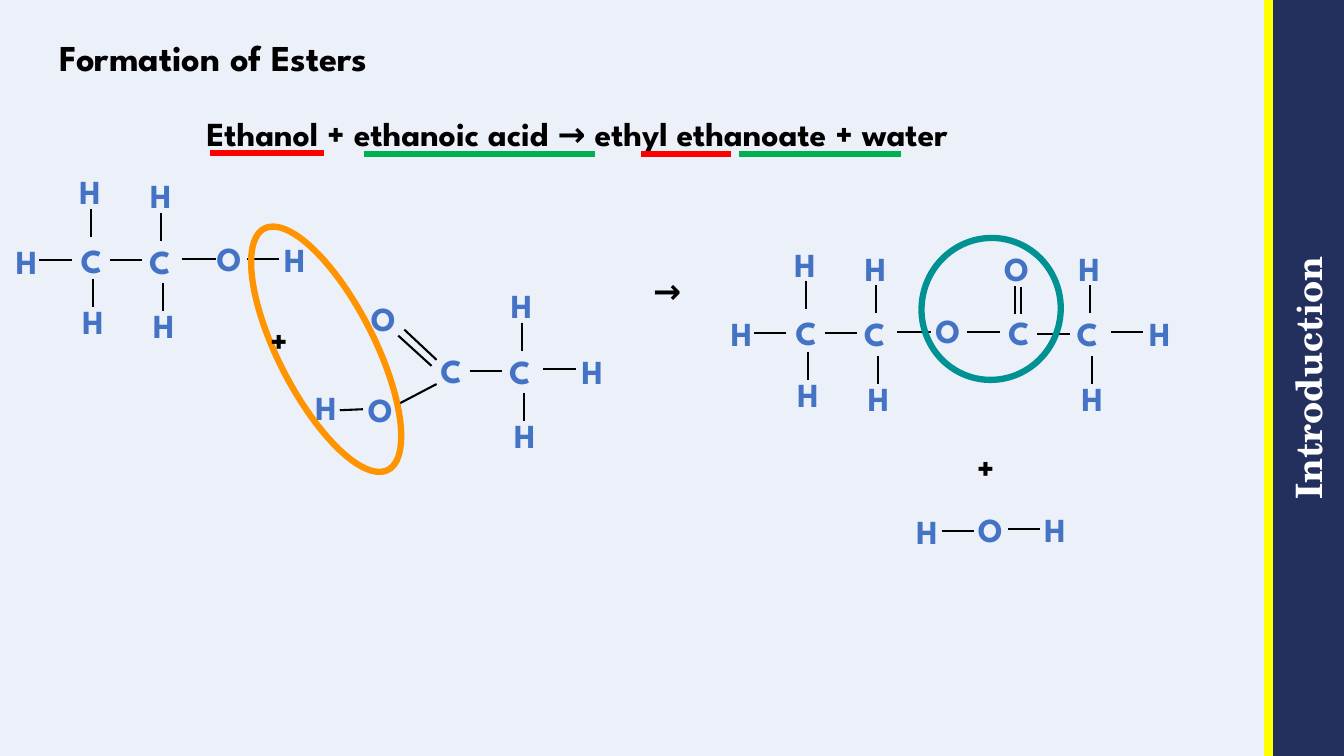
import dataclasses

import lxml.etree
import pptx
import pptx.dml.color
import pptx.enum.shapes
import pptx.enum.text
import pptx.oxml.ns
import pptx.util

WIDE, HIGH = pptx.util.Inches(13.33), pptx.util.Inches(7.5)
COLS, ROWS = 133.3, 75


@dataclasses.dataclass(frozen=True)
class Theme:
    sans: str = "League Spartan"
    serif: str = "TeX Gyre Schola"
    paper: str = "ECF1F9"
    navy: str = "232F5D"
    yellow: str = "FFFF00"
    white: str = "FFFFFF"
    black: str = "000000"
    atom: str = "4472C4"
    red: str = "FF0000"
    green: str = "00B050"
    orange: str = "FF9300"
    teal: str = "009193"
    head: float = 26
    body: float = 24
    thin: float = 1.5
    thick: float = 4.5
    edge: float = 6


THEME = Theme()


def rgb(code):
    return pptx.dml.color.RGBColor.from_string(code)


def place(box):
    """Turn a box in grid columns and rows into lengths on the slide."""
    left, top, width, height = box
    return (round(WIDE * left / COLS), round(HIGH * top / ROWS),
            round(WIDE * width / COLS), round(HIGH * height / ROWS))


def write(shape, text, size=THEME.body, color=THEME.black, font=THEME.sans,
          align="LEFT", anchor="TOP", wrap=True, grow=False, inset=None, space=None):
    frame = shape.text_frame
    fit = pptx.enum.text.MSO_AUTO_SIZE
    frame.auto_size = fit.SHAPE_TO_FIT_TEXT if grow else fit.NONE
    frame.word_wrap = wrap
    frame.vertical_anchor = pptx.enum.text.MSO_ANCHOR[anchor]
    if inset is not None:
        frame.margin_left = frame.margin_right = inset
        frame.margin_top = frame.margin_bottom = inset
    para = frame.paragraphs[0]
    para.alignment = pptx.enum.text.PP_ALIGN[align]
    if space:
        para.line_spacing = space
    run = para.add_run()
    run.text = text
    run.font.size = pptx.util.Pt(size)
    run.font.name = font
    run.font.bold = True
    run.font.color.rgb = rgb(color)


def label(slide, box, text, **form):
    write(slide.shapes.add_textbox(*place(box)), text, grow=True, **form)


def stroke(slide, start, end, color=THEME.black, weight=THEME.thin):
    ends = place((*start, *end))
    line = slide.shapes.add_connector(pptx.enum.shapes.MSO_CONNECTOR.STRAIGHT, *ends)
    line.line.color.rgb = rgb(color)
    line.line.width = pptx.util.Pt(weight)
    props = line._element.spPr
    lxml.etree.SubElement(props, pptx.oxml.ns.qn("a:effectLst"))


def ring(slide, box, turn, color):
    oval = slide.shapes.add_shape(pptx.enum.shapes.MSO_SHAPE.OVAL, *place(box))
    oval.shadow.inherit = False
    oval.fill.background()
    oval.line.color.rgb = rgb(color)
    oval.line.width = pptx.util.Pt(THEME.thick)
    oval.rotation = turn


def draw(slide, left, top, atoms, bonds):
    """Place atoms (sign, x, y) and bonds (x1, y1, x2, y2) from a corner."""
    for x1, y1, x2, y2 in bonds:
        stroke(slide, (left + x1, top + y1), (left + x2, top + y2))
    for sign, x, y in atoms:
        width = 4.3 if sign == "H" else 4.8
        label(slide, (left + x, top + y, width, 5), sign, color=THEME.atom, wrap=False)


def stem(slide, left, top):
    """The hydrogens above and below a carbon, with their bonds."""
    draw(slide, left, top, [("H", 0, 0), ("H", 0.3, 12.9)],
         [(2.1, 4.2, 2.1, 7), (2.3, 11.2, 2.3, 14)])


def ethyl(slide, left, top):
    stem(slide, left + 6.3, top)
    stem(slide, left + 13.3, top + 0.4)
    draw(slide, left, top, [("H", 0, 6.9), ("C", 6.4, 6.8), ("C", 13.2, 6.9)],
         [(3.3, 9.3, 6.5, 9.3), (10.3, 9.3, 13.5, 9.3), (17.5, 9.2, 20.8, 9.2)])


def acyl(slide, left, top):
    stem(slide, left + 7, top)
    draw(slide, left, top, [("C", 0, 6.4), ("C", 6.8, 6.5), ("H", 14, 6.5)],
         [(3.9, 9, 7.1, 9), (11.2, 8.8, 14.4, 8.8)])


def ethanol(slide, left, top):
    ethyl(slide, left, top)
    draw(slide, left, top, [("O", 19.9, 6.6), ("H", 26.6, 6.7)],
         [(23.9, 9.2, 27.1, 9.2)])


def acid(slide, left, top):
    acyl(slide, left + 12.4, top)
    draw(slide, left, top, [("O", 5.5, 1.3), ("O", 5.2, 10.3), ("H", 0, 10.1)],
         [(9, 12.4, 13, 10.3), (9.8, 4.9, 13, 7.9),
          (9.2, 5.5, 12.5, 8.5), (3.4, 12.9, 5.7, 12.8)])


def ester(slide, left, top):
    ethyl(slide, left, top)
    acyl(slide, left + 27.5, top + 0.4)
    draw(slide, left, top, [("O", 20.3, 6.6), ("O", 27.1, 0.4)],
         [(24.4, 9.2, 27.7, 9.2), (29.2, 4.7, 29.2, 7.5), (29.8, 4.8, 29.8, 7.5)])
    ring(slide, (left + 19.9, top - 0.1, 13.8, 14.1), 12.2, THEME.teal)


def water(slide, left, top):
    draw(slide, left, top, [("H", 0, 0.2), ("O", 6.1, 0), ("H", 12.7, 0)],
         [(3.5, 2.7, 6.7, 2.7), (10.1, 2.5, 13.3, 2.5)])


def rail(slide, left, width):
    """The navy band down the right side, with its upright heading."""
    box = (left + (width - ROWS) / 2, (ROWS - width) / 2, ROWS, width)
    band = slide.shapes.add_shape(pptx.enum.shapes.MSO_SHAPE.RECTANGLE, *place(box))
    band.shadow.inherit = False
    band.fill.solid()
    band.fill.fore_color.rgb = rgb(THEME.navy)
    band.line.fill.background()
    band.rotation = 270
    write(band, "Introduction", size=THEME.head, color=THEME.white,
          font=THEME.serif, align="CENTER", anchor="MIDDLE", inset=0)
    stroke(slide, (left - 0.3, 0), (left - 0.3, ROWS), THEME.yellow, THEME.edge)


def title(slide, box):
    head = slide.shapes.title
    head.left, head.top, head.width, head.height = place(box)
    write(head, "Formation of Esters", size=THEME.head, anchor="BOTTOM",
          inset=0, space=0.9)


def formula(slide, left, top):
    """The word equation with its coloured underlines."""
    label(slide, (left, top, 94.5, 5),
          "Ethanol + ethanoic acid → ethyl ethanoate + water")
    for start, end, drop, color in [
            (1.3, 12.6, 4.5, THEME.red), (44.1, 53, 4.6, THEME.red),
            (16.6, 39.5, 4.6, THEME.green), (53.8, 69.9, 4.6, THEME.green)]:
        stroke(slide, (left + start, top + drop), (left + end, top + drop),
               color, THEME.thick)


def main():
    deck = pptx.Presentation()
    deck.slide_width, deck.slide_height = WIDE, HIGH
    slide = deck.slides.add_slide(deck.slide_layouts.get_by_name("Title Only"))
    slide.background.fill.solid()
    slide.background.fill.fore_color.rgb = rgb(THEME.paper)

    rail(slide, 126.1, 7.2)
    title(slide, (5.9, 0, 116.1, 7.9))
    formula(slide, 19.5, 10.7)
    acid(slide, 30.3, 27.8)
    ethanol(slide, 0.6, 16.5)
    ring(slide, (27.6, 21.2, 9.5, 26.9), 332.9, THEME.orange)
    ester(slide, 71.5, 23.7)
    water(slide, 89.9, 50)
    for sign, left, top, width in [
            ("+", 25.8, 31.2, 4), ("→", 63.8, 26.3, 5.3), ("+", 95.9, 43.8, 4)]:
        label(slide, (left, top, width, 5), sign, wrap=False)
    deck.save("out.pptx")


if __name__ == "__main__":
    main()
